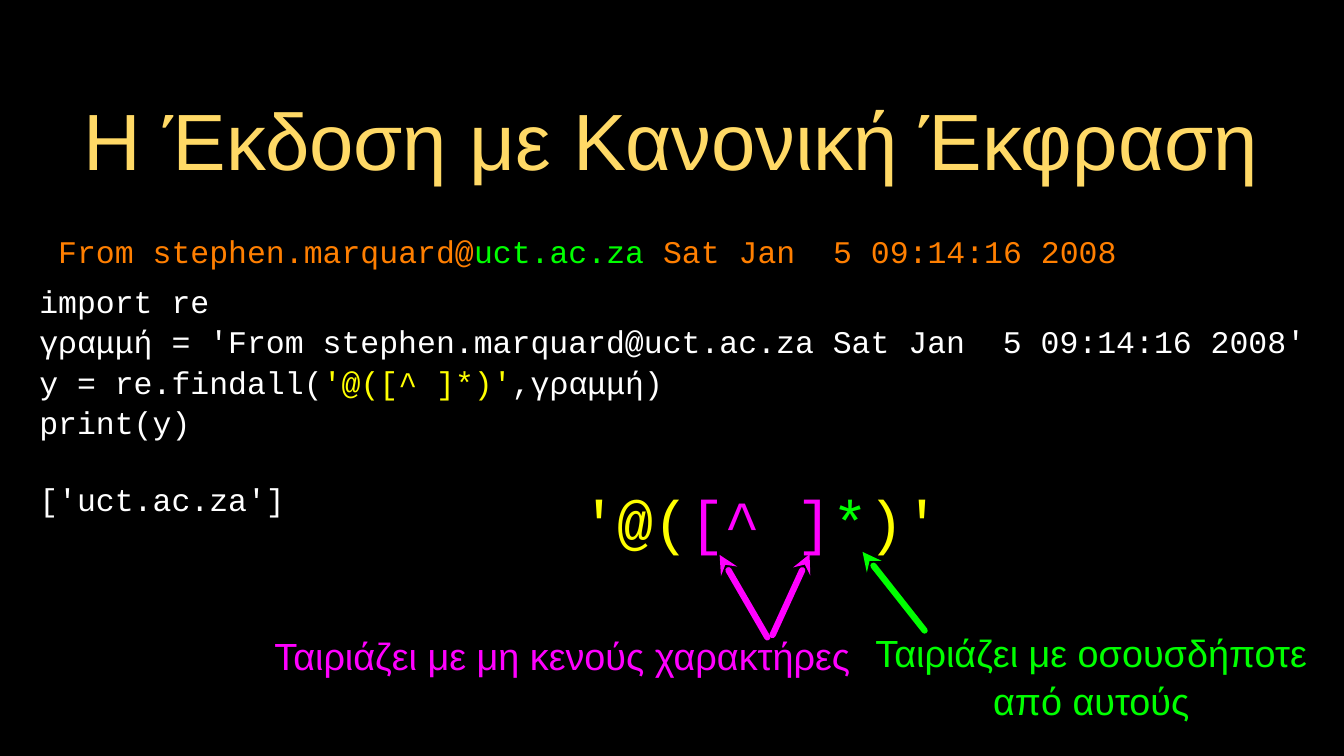
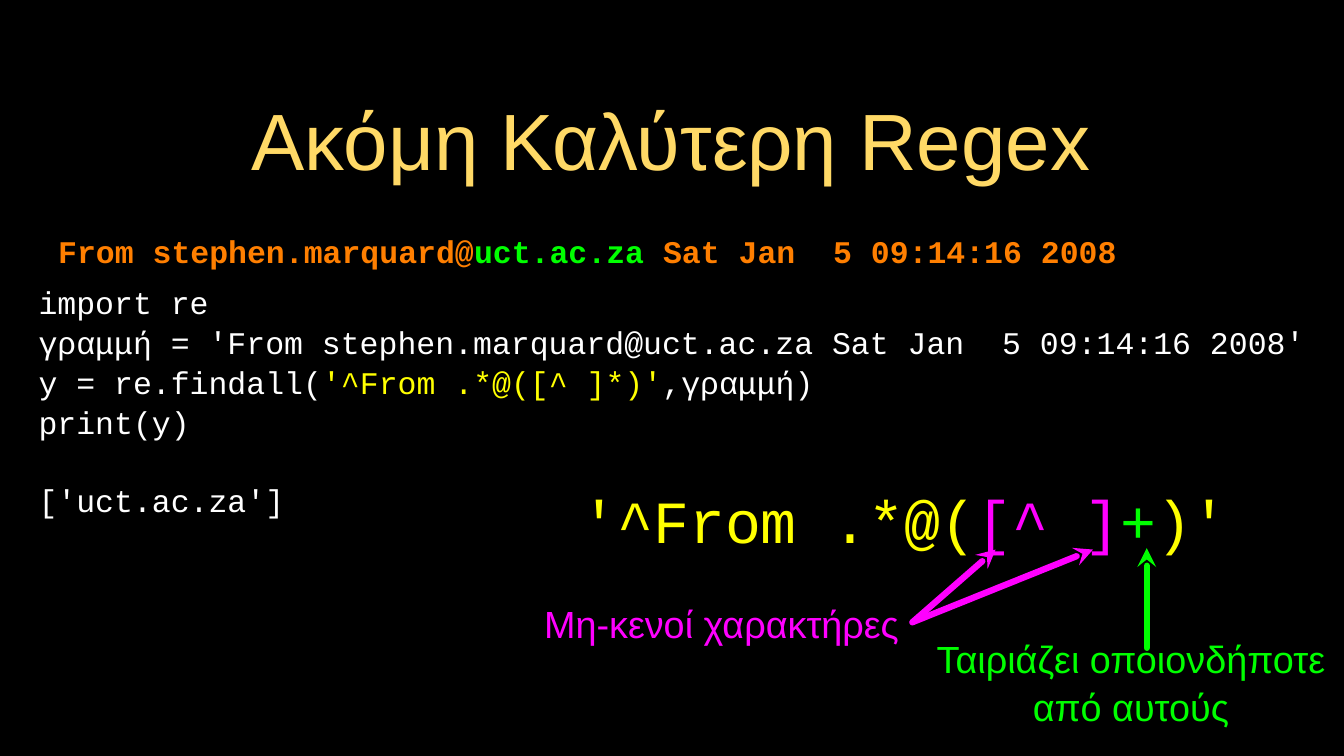
from lxml import etree
from pptx import Presentation
from pptx.dml.color import RGBColor
from pptx.enum import shapes, text
from pptx.oxml import ns
from pptx.util import Pt

BLACK, WHITE, GOLD = "000000", "FFFFFF", "FFD966"
ORANGE, GREEN, YELLOW, MAGENTA = "FF7F00", "00FF00", "FFFF00", "FF00FF"
SANS, MONO = "Arial", "Courier New"
TITLE_BOX = (74, 64, 1130, 136)
HEADER_BOX = (55.4, 211.7, 1120, 53.3)
LINE_SPACING = 1.06


def rgb(value):
    """Turn a hex string into a colour."""
    return RGBColor.from_string(value)


def add_runs(p, runs, font, size, bold=False):
    """Add (wording, colour) runs to a paragraph."""
    for wording, color in runs:
        r = p.add_run()
        r.text = wording
        r.font.name, r.font.size, r.font.bold = font, Pt(size), bold
        r.font.color.rgb = rgb(color)


def setup_frame(tf, inset=0):
    """Give a text frame wrapping, middle anchoring and equal insets."""
    tf.word_wrap = True
    tf.auto_size = text.MSO_AUTO_SIZE.NONE
    tf.vertical_anchor = text.MSO_ANCHOR.MIDDLE
    tf.margin_left = tf.margin_right = tf.margin_top = tf.margin_bottom = Pt(inset)


def add_text(s, box, lines, font, size, align=text.PP_ALIGN.LEFT, bold=False):
    """Add a text box with one paragraph per list of runs."""
    tf = s.shapes.add_textbox(*map(Pt, box)).text_frame
    setup_frame(tf)
    for i, runs in enumerate(lines):
        p = tf.paragraphs[0] if i == 0 else tf.add_paragraph()
        p.alignment, p.line_spacing = align, LINE_SPACING
        add_runs(p, runs, font, size, bold)
    return tf


def add_title(s, box, wording):
    """Place and format the title placeholder."""
    sp = s.shapes.title
    sp.left, sp.top, sp.width, sp.height = map(Pt, box)
    setup_frame(sp.text_frame, 3)
    p = sp.text_frame.paragraphs[0]
    p.alignment, p.line_spacing = text.PP_ALIGN.CENTER, 1.0
    add_runs(p, [(wording, GOLD)], SANS, 76)


def add_header(s, box, bold):
    """Show the mail header line with its host highlighted."""
    runs = [("From stephen.marquard@", ORANGE), ("uct.ac.za", GREEN),
            (" Sat Jan  5 09:14:16 2008", ORANGE)]
    add_text(s, box, [runs], MONO, 30, bold=bold)


def add_code(s, box, regex):
    """Show the program and, one line further down, its output."""
    lines = [
        [("import re", WHITE)],
        [("γραμμή = 'From stephen.marquard@uct.ac.za Sat Jan  5 09:14:16 2008'", WHITE)],
        [("y = re.findall(", WHITE), (regex, YELLOW), (",γραμμή)", WHITE)],
        [("print(y)", WHITE)],
        [("['uct.ac.za']", WHITE)],
    ]
    tf = add_text(s, box, lines, MONO, 30)
    tf.paragraphs[-1].space_before = Pt(36)


def add_pattern(s, box, start, repeat):
    """Show the enlarged regex with its parts coloured."""
    runs = [(start, YELLOW), ("[^ ]", MAGENTA), (repeat, GREEN), (")'", YELLOW)]
    add_text(s, box, [runs], MONO, 57)


def add_arrow(s, tip, tail, color):
    """Draw a thick arrow whose head is at the tip."""
    c = s.shapes.add_connector(shapes.MSO_CONNECTOR.STRAIGHT, *map(Pt, tip + tail))
    c.line.color.rgb, c.line.width = rgb(color), Pt(6)
    ln = c.line._get_or_add_ln()
    ln.set("cap", "rnd")
    etree.SubElement(ln, ns.qn("a:headEnd"), type="stealth")
    etree.SubElement(c._element.spPr, ns.qn("a:effectLst"))


def add_callout(s, box, wording, color, arrows):
    """Add a centred label and the arrows leading from it."""
    for tip, tail in arrows:
        add_arrow(s, tip, tail, color)
    add_text(s, box, [[(wording, color)]], SANS, 36, text.PP_ALIGN.CENTER)


def add_regex_slide(prs, title, bold, regex, code_box, pattern, pattern_box, callouts):
    """Build one slide that explains a regular expression."""
    s = prs.slides.add_slide(prs.slide_layouts[5])
    add_title(s, TITLE_BOX, title)
    add_pattern(s, pattern_box, *pattern)
    for callout in callouts:
        add_callout(s, *callout)
    add_code(s, code_box, regex)
    add_header(s, HEADER_BOX, bold)


def main():
    """Build and save the presentation."""
    prs = Presentation()
    prs.slide_width, prs.slide_height = Pt(1280), Pt(720)
    fill = prs.slide_master.background.fill
    fill.solid()
    fill.fore_color.rgb = rgb(BLACK)

    add_regex_slide(
        prs, "Η Έκδοση με Κανονική Έκφραση", False,
        "'@([^ ]*)'", (37.4, 278, 1212, 204.5),
        ("'@(", "*"), (553.7, 458.6, 345.6, 69),
        [((247, 598.3, 577.4, 49), "Ταιριάζει με μη κενούς χαρακτήρες", MAGENTA,
          [((685.4, 528.5), (730.8, 607)), ((771, 527.8), (735.8, 604.8))]),
         ((830.9, 618.5, 416.9, 49), "Ταιριάζει με οσουσδήποτε από αυτούς", GREEN,
          [((821.5, 525.6), (880.6, 600.5))])])

    add_regex_slide(
        prs, "Ακόμη Καλύτερη Regex", True,
        "'^From .*@([^ ]*)'", (36.7, 270, 1212, 221.8),
        ("'^From .*@(", "+"), (553.7, 458.6, 622, 69),
        [((466.6, 568, 441.4, 49), "Μη-κενοί χαρακτήρες", MAGENTA,
          [((948.2, 523.4), (869, 592.6)), ((1041, 523.4), (869, 592.6))]),
         ((887.8, 624.2, 378.7, 49), "Ταιριάζει οποιονδήποτε από αυτούς", GREEN,
          [((1092.2, 522), (1092.2, 617))])])

    prs.save("out.pptx")


if __name__ == "__main__":
    main()
